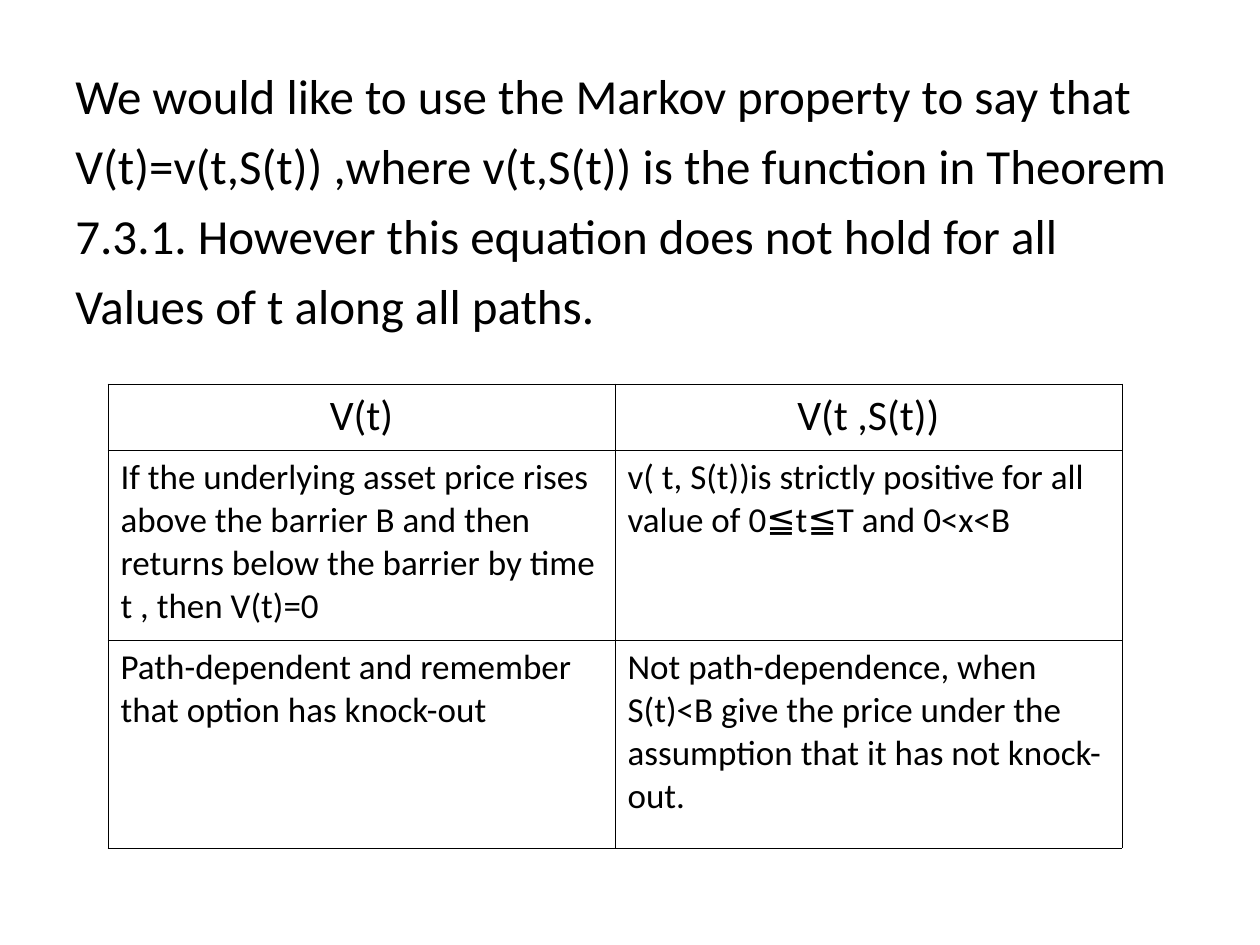
"""Build a slide comparing V(t) with v(t,S(t)) for a knock-out option."""
from lxml import etree
from pptx import Presentation
from pptx.dml.color import RGBColor
from pptx.enum.text import MSO_ANCHOR, PP_ALIGN
from pptx.oxml.ns import qn
from pptx.util import Pt

PX = 914400 // 126
BLACK = RGBColor(0, 0, 0)
LEFT, CENTER = PP_ALIGN.LEFT, PP_ALIGN.CENTER
TOP = MSO_ANCHOR.TOP
BORDER_WIDTH = Pt(0.45)
HANGING = 48 * PX

STATEMENT = [
    "We would like to use the Markov property to say that",
    "V(t)=v(t,S(t)) ,where v(t,S(t)) is the function in Theorem",
    "7.3.1. However this equation does not hold for all",
    "Values of t along all paths.",
]
COMPARISON = [
    ["V(t)", "V(t ,S(t))"],
    ["If the underlying asset price rises above the barrier B and then "
     "returns below the barrier by time t , then V(t)=0",
     "v( t, S(t))is strictly positive for all value of 0≦t≦T and 0<x<B"],
    ["Path-dependent and remember that option has knock-out",
     "Not path-dependence, when S(t)<B give the price under the "
     "assumption that it has not knock-out."],
]
ROW_HEIGHTS = [66, 190, 208]
COLUMN_WIDTH = 507


def write(paragraph, text, size=20, align=LEFT, before=0, hanging=0):
    properties = paragraph._p.get_or_add_pPr()
    properties.set("marL", str(hanging))
    properties.set("indent", str(-hanging))
    paragraph.alignment = align
    paragraph.space_before = Pt(before)
    run = paragraph.add_run()
    run.text = text
    run.font.name = "Calibri"
    run.font.size = Pt(size)
    run.font.color.rgb = BLACK


def add_borders(cell):
    properties = cell._tc.get_or_add_tcPr()
    for position, side in enumerate(("a:lnL", "a:lnR", "a:lnT", "a:lnB")):
        line = etree.Element(qn(side), w=str(BORDER_WIDTH))
        fill = etree.SubElement(line, qn("a:solidFill"))
        etree.SubElement(fill, qn("a:srgbClr"), val=str(BLACK))
        properties.insert(position, line)


presentation = Presentation()
presentation.slide_width = 1260 * PX
presentation.slide_height = 945 * PX
slide = presentation.slides.add_slide(presentation.slide_layouts[6])

statement = slide.shapes.add_textbox(63 * PX, 59 * PX, 1134 * PX, 785 * PX)
frame = statement.text_frame
frame.word_wrap = True
for index, text in enumerate(STATEMENT):
    paragraph = frame.add_paragraph() if index else frame.paragraphs[0]
    write(paragraph, text, size=28, before=6.5 if index else 0, hanging=HANGING)

table = slide.shapes.add_table(
    len(COMPARISON), 2, 108 * PX, 384 * PX,
    2 * COLUMN_WIDTH * PX, sum(ROW_HEIGHTS) * PX).table
table.first_row = False
table.horz_banding = False
for column in table.columns:
    column.width = COLUMN_WIDTH * PX
for row_index, texts in enumerate(COMPARISON):
    table.rows[row_index].height = ROW_HEIGHTS[row_index] * PX
    size, align = (20, LEFT) if row_index else (24, CENTER)
    for column_index, text in enumerate(texts):
        cell = table.cell(row_index, column_index)
        cell.vertical_anchor = TOP
        cell.fill.background()
        add_borders(cell)
        write(cell.text_frame.paragraphs[0], text, size=size, align=align)

presentation.save("out.pptx")
